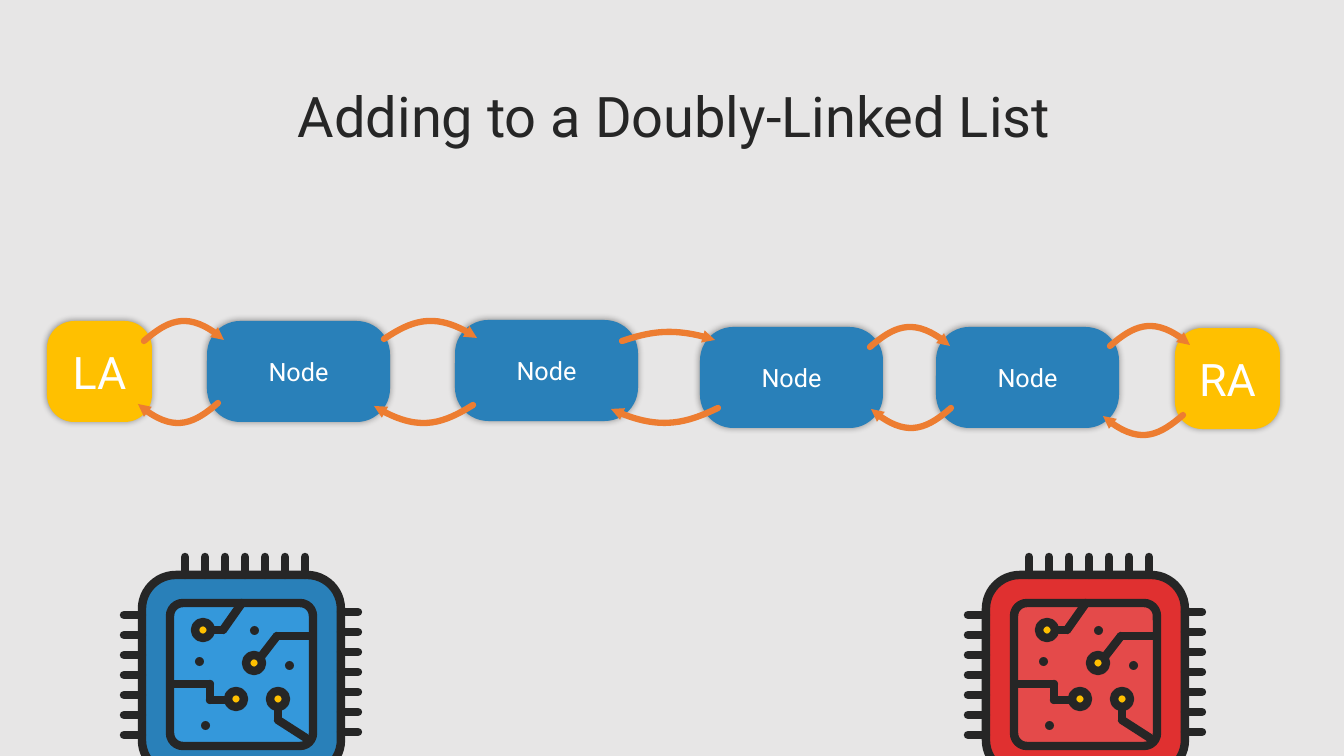
from itertools import pairwise

from pptx import Presentation
from pptx.dml.color import RGBColor
from pptx.enum.shapes import MSO_CONNECTOR, MSO_SHAPE
from pptx.enum.text import MSO_ANCHOR, PP_ALIGN
from pptx.oxml import parse_xml
from pptx.oxml.ns import nsdecls, qn
from pptx.util import Pt

PIXEL = 9071
INK, GOLD, BLUE, ORANGE, PAPER = "262626", "FFC000", "2980B9", "ED7D31", "E7E6E6"


def paint(target, color):
    if hasattr(target, "solid"):
        target.solid()
        target = target.fore_color
    else:
        target = target.color
    target.rgb = RGBColor.from_string(color)


def add_box(shapes, kind, box, fill, line=None, corner=None):
    shape = shapes.add_shape(kind, *(value * PIXEL for value in box))
    shape.shadow.inherit = False
    paint(shape.fill, fill)
    if line:
        paint(shape.line, line)
        shape.line.width = Pt(6)
    else:
        shape.line.fill.background()
    if corner:
        shape.adjustments[0] = corner
    return shape


presentation = Presentation()
presentation.slide_width = 1344 * PIXEL
presentation.slide_height = 756 * PIXEL
slide = presentation.slides.add_slide(presentation.slide_layouts[5])
paint(slide.background.fill, PAPER)

title = slide.shapes.title
title_place = {"left": 108, "top": 76, "width": 1132, "height": 78}
for name, value in title_place.items():
    setattr(title, name, value * PIXEL)
title.text_frame.text = "Adding to a Doubly-Linked List"
labels = [(title, 40, INK, MSO_ANCHOR.TOP)]

boxes = [
    ("LA", 47, 321), ("Node", 207, 321), ("Node", 455, 320),
    ("Node", 700, 327), ("Node", 936, 327), ("RA", 1175, 328),
]
for label, left, top in boxes:
    is_node = label == "Node"
    width, fill, corner, size = (183, BLUE, 0.33, 18) if is_node else (105, GOLD, 0.27, 32)
    shape = add_box(slide.shapes, MSO_SHAPE.ROUNDED_RECTANGLE,
                    (left, top, width, 101), fill, corner=corner)
    shape.text_frame.text = label
    labels.append((shape, size, "FFFFFF", MSO_ANCHOR.MIDDLE))
    shape._element.spPr.find(qn("a:effectLst")).append(parse_xml(
        f'<a:outerShdw {nsdecls("a")} blurRad="63500" algn="ctr" rotWithShape="0">'
        '<a:srgbClr val="000000"><a:alpha val="40000"/></a:srgbClr></a:outerShdw>'))

for shape, size, color, anchor in labels:
    shape.text_frame.vertical_anchor = anchor
    shape.text_frame.word_wrap = True
    paragraph = shape.text_frame.paragraphs[0]
    paragraph.alignment = PP_ALIGN.CENTER
    font = paragraph.runs[0].font
    for name, value in {"name": "Roboto", "size": Pt(size), "bold": False}.items():
        setattr(font, name, value)
    paint(font, color)

arrows = [
    (144, 341, 80, 20), (384, 339, 93, 18), (622, 341, 93, 9),
    (870, 347, 80, 20), (1110, 346, 80, 20),
    (1183, 415, -80, -20), (951, 408, -80, -20), (718, 408, -107, -15),
    (473, 405, -99, -18), (218, 403, -80, -20),
]
for x, y, run, rise in arrows:
    builder = slide.shapes.build_freeform(x, y, scale=PIXEL)
    builder.add_line_segments([
        (round(x + 0.29 * run), y - rise),
        (round(x + 0.57 * run), round(y - 1.55 * rise)),
        (x + run, y - (1 if run > 0 else -1)),
    ], close=False)
    arrow = builder.convert_to_shape()
    arrow.shadow.inherit = False
    arrow.fill.background()
    paint(arrow.line, ORANGE)
    arrow.line.width = Pt(4.5)
    line = arrow.line._get_or_add_ln()
    line.set("cap", "rnd")
    line.append(parse_xml(f'<a:tailEnd {nsdecls("a")} type="triangle" w="sm" len="sm"/>'))
    segments = list(arrow._element.iter(qn("a:lnTo")))
    curve = parse_xml(f'<a:cubicBezTo {nsdecls("a")}/>')
    segments[0].addprevious(curve)
    for segment in segments:
        curve.append(segment[0])
        segment.getparent().remove(segment)

pins = []
for step in range(0, 140, 20):
    pins += [
        [(185 + step, 575), (185 + step, 557)],
        [(341, 612 + step), (358, 612 + step)],
        [(124, 615 + step), (142, 615 + step)],
    ]
traces = [
    [(242, 603), (223, 630), (212, 630)],
    [(306, 738), (278, 720), (278, 709)],
    [(312, 636), (277, 636), (260, 658)],
    [(174, 684), (210, 684), (210, 700), (225, 700)],
]
pads = [(195, 622), (270, 691), (246, 655), (228, 691)]
dots = [(195, 657), (201, 721), (250, 626), (285, 661)]

for shift, frame_color, core_color in [(0, BLUE, "3498DB"), (844, "E03030", "E44A4A")]:
    chip = slide.shapes.add_group_shape().shapes
    add_box(chip, MSO_SHAPE.ROUNDED_RECTANGLE, (142 + shift, 575, 199, 199),
            frame_color, INK, 0.17)
    add_box(chip, MSO_SHAPE.ROUNDED_RECTANGLE, (170 + shift, 603, 143, 143),
            core_color, INK, 0.09)
    for wire in pins + traces:
        for (x1, y1), (x2, y2) in pairwise(wire):
            ends = (x1 + shift, y1, x2 + shift, y2)
            connector = chip.add_connector(
                MSO_CONNECTOR.STRAIGHT, *(value * PIXEL for value in ends))
            paint(connector.line, INK)
            connector.line.width = Pt(6)
            connector.line._get_or_add_ln().set("cap", "rnd")
            connector._element.spPr.append(parse_xml(f'<a:effectLst {nsdecls("a")}/>'))
    for x, y in pads:
        add_box(chip, MSO_SHAPE.OVAL, (x + shift, y, 16, 16), GOLD, INK)
    for x, y in dots:
        add_box(chip, MSO_SHAPE.OVAL, (x + shift, y, 9, 9), INK)

presentation.save("out.pptx")
